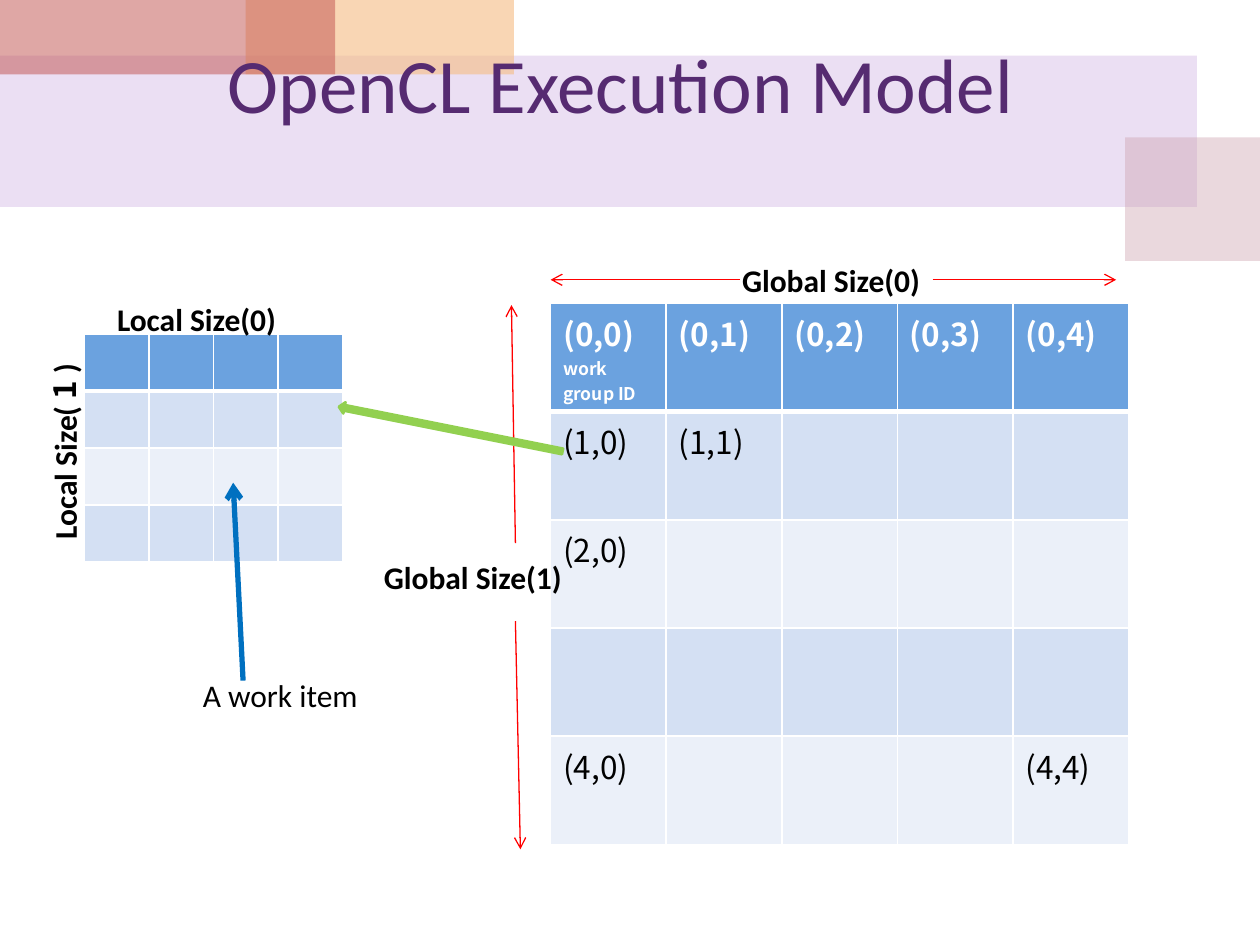
from pptx import Presentation
from pptx.dml.color import RGBColor
from pptx.enum.shapes import MSO_CONNECTOR, MSO_SHAPE
from pptx.enum.text import MSO_ANCHOR, PP_ALIGN
from pptx.oxml.ns import qn
from pptx.util import Cm, Pt
from lxml import etree

RECTANGLE = MSO_SHAPE.RECTANGLE
DOWN_ARROW = MSO_SHAPE.DOWN_ARROW
STRAIGHT = MSO_CONNECTOR.STRAIGHT
MIDDLE = MSO_ANCHOR.MIDDLE
CENTER = PP_ALIGN.CENTER

TEXT_FONT = "Calibri"
CELL_FONT = "Noto Sans CJK KR"
BLACK, WHITE, RED = "000000", "FFFFFF", "FF0000"
BLUE, GREEN, PURPLE = "0070C0", "92D050", "562B71"
HEADER_FILL, ODD_FILL, EVEN_FILL = "6BA2DF", "D4E0F3", "EBF0F9"

# left, top, width, height, colour, opacity in percent
DECORATIONS = [
    (0, 1.12, 24.13, 3.05, "BF98D8", 30),
    (22.68, 2.77, 2.72, 2.49, "CC9EAC", 40),
    (4.95, 0, 5.41, 1.5, "F5BC83", 60),
    (0, 0, 6.76, 1.5, "C0504D", 50),
]
WORK_GROUPS = [
    ["(0,0)\nwork group ID", "(0,1)", "(0,2)", "(0,3)", "(0,4)"],
    ["(1,0)", "(1,1)", "", "", ""],
    ["(2,0)", "", "", "", ""],
    ["", "", "", "", ""],
    ["(4,0)", "", "", "", "(4,4)"],
]
WORK_ITEMS = [[""] * 4 for _ in range(4)]
SIZE_ARROWS = [
    ((18.8, 5.64), (22.5, 5.64)),
    ((14.91, 5.64), (11.1, 5.64)),
    ((10.39, 12.52), (10.49, 17.12)),
    ((10.39, 10.95), (10.31, 6.15)),
]


def color(value):
    return RGBColor.from_string(value)


def style_font(font, size, value, bold=False, name=TEXT_FONT):
    font.name = name
    font.size = Pt(size)
    font.bold = bold
    font.color.rgb = color(value)


def add_decoration(slide, left, top, width, height, value, opacity):
    shape = slide.shapes.add_shape(RECTANGLE, Cm(left), Cm(top), Cm(width), Cm(height))
    shape.shadow.inherit = False
    shape.line.fill.background()
    shape.fill.solid()
    shape.fill.fore_color.rgb = color(value)
    fill_color = shape.fill._xPr.find(qn("a:solidFill"))[0]
    etree.SubElement(fill_color, qn("a:alpha"), val=str(opacity * 1000))


def add_label(slide, text, left, top, width, height=1.02, size=18, value=BLACK, bold=True):
    text_frame = slide.shapes.add_textbox(Cm(left), Cm(top), Cm(width), Cm(height)).text_frame
    text_frame.word_wrap = True
    text_frame.text = text
    style_font(text_frame.paragraphs[0].runs[0].font, size, value, bold)
    return text_frame


def add_title(slide, text):
    text_frame = add_label(slide, text, 1.09, 0.33, 22.86, 2.67, 44, PURPLE, False)
    text_frame.vertical_anchor = MIDDLE
    text_frame.paragraphs[0].alignment = CENTER


def add_vertical_label(slide):
    """Label read from bottom to top, with its digit in the table font."""
    text_frame = add_label(slide, "Local Size(", 0.79, 6.91, 1.02, 4.22)
    text_frame._txBody.bodyPr.set("vert", "vert270")
    for text, name in ((" 1 ", CELL_FONT), (")", TEXT_FONT)):
        run = text_frame.paragraphs[0].add_run()
        run.text = text
        style_font(run.font, 18, BLACK, True, name)


def set_borders(cell, top, bottom):
    """White cell borders; top and bottom are widths in points."""
    properties = cell._tc.get_or_add_tcPr()
    for side, width in (("L", 1), ("R", 1), ("T", top), ("B", bottom)):
        line = etree.SubElement(properties, qn(f"a:ln{side}"), w=str(Pt(width)))
        fill = etree.SubElement(line, qn("a:solidFill"))
        etree.SubElement(fill, qn("a:srgbClr"), val=WHITE)


def fill_cell(cell, text, row):
    set_borders(cell, 3 if row == 1 else 1, 3 if row == 0 else 1)
    cell.fill.solid()
    fill = HEADER_FILL if row == 0 else (ODD_FILL if row % 2 else EVEN_FILL)
    cell.fill.fore_color.rgb = color(fill)
    if text:
        cell.text_frame.text = text
        for index, paragraph in enumerate(cell.text_frame.paragraphs):
            style_font(paragraph.runs[0].font, 10 if index else 18,
                       BLACK if row else WHITE, row == 0, CELL_FONT)


def add_grid(slide, values, left, top, column_width, row_height):
    rows, columns = len(values), len(values[0])
    table = slide.shapes.add_table(rows, columns, Cm(left), Cm(top),
                                   Cm(column_width * columns), Cm(row_height * rows)).table
    table.horz_banding = False
    for column in table.columns:
        column.width = Cm(column_width)
    for row, texts in enumerate(values):
        table.rows[row].height = Cm(row_height)
        for column, text in enumerate(texts):
            fill_cell(table.cell(row, column), text, row)


def add_arrow(slide, start, end, value, width):
    connector = slide.shapes.add_connector(STRAIGHT, *map(Cm, start + end))
    connector.line.color.rgb = color(value)
    connector.line.width = Pt(width)
    etree.SubElement(connector.line._get_or_add_ln(), qn("a:tailEnd"), type="arrow")
    etree.SubElement(connector._element.spPr, qn("a:effectLst"))


def add_block_arrow(slide):
    """Arrow from a work group to its work items."""
    shape = slide.shapes.add_shape(DOWN_ARROW, Cm(8.97), Cm(6.35), Cm(0.23), Cm(4.6))
    shape.shadow.inherit = False
    shape.rotation = 101.3
    shape.fill.solid()
    shape.fill.fore_color.rgb = color(GREEN)
    shape.line.color.rgb = color(GREEN)
    shape.line.width = Pt(1.5)


def main():
    presentation = Presentation()
    presentation.slide_width, presentation.slide_height = Cm(25.4), Cm(19.05)
    slide = presentation.slides.add_slide(presentation.slide_layouts[6])
    for decoration in DECORATIONS:
        add_decoration(slide, *decoration)
    add_title(slide, "OpenCL Execution Model")
    add_grid(slide, WORK_GROUPS, 11.1, 6.12, 2.33, 2.18)
    add_grid(slide, WORK_ITEMS, 1.7, 6.73, 1.3, 1.15)
    add_label(slide, "Global Size(0)", 14.71, 5.13, 8.2)
    for start, end in SIZE_ARROWS:
        add_arrow(slide, start, end, RED, 0.75)
    add_label(slide, "Global Size(1)", 7.49, 11.13, 4.19)
    add_block_arrow(slide)
    add_arrow(slide, (4.9, 13.72), (4.7, 9.73), BLUE, 3)
    add_label(slide, "A work item", 3.84, 13.51, 3.81, bold=False)
    add_label(slide, "Local Size(0)", 2.11, 5.92, 4.39)
    add_vertical_label(slide)
    presentation.save("out.pptx")


if __name__ == "__main__":
    main()
